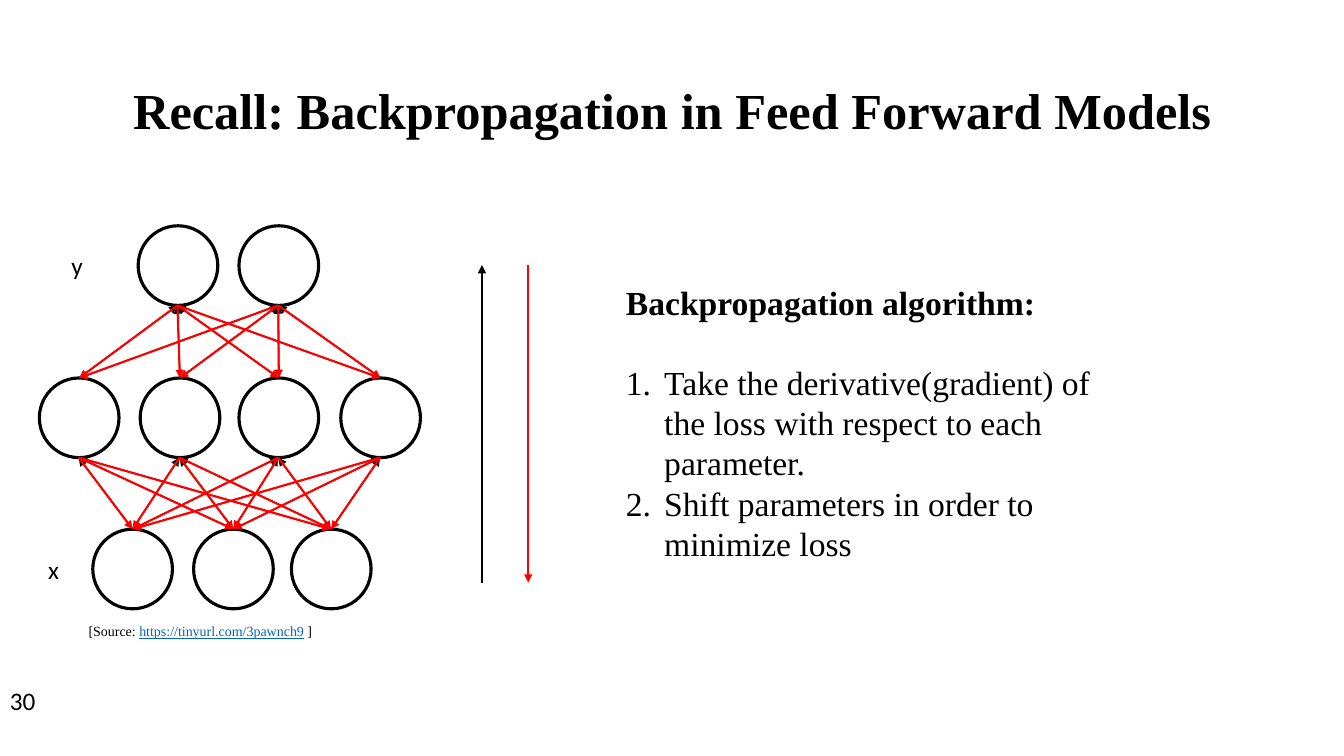
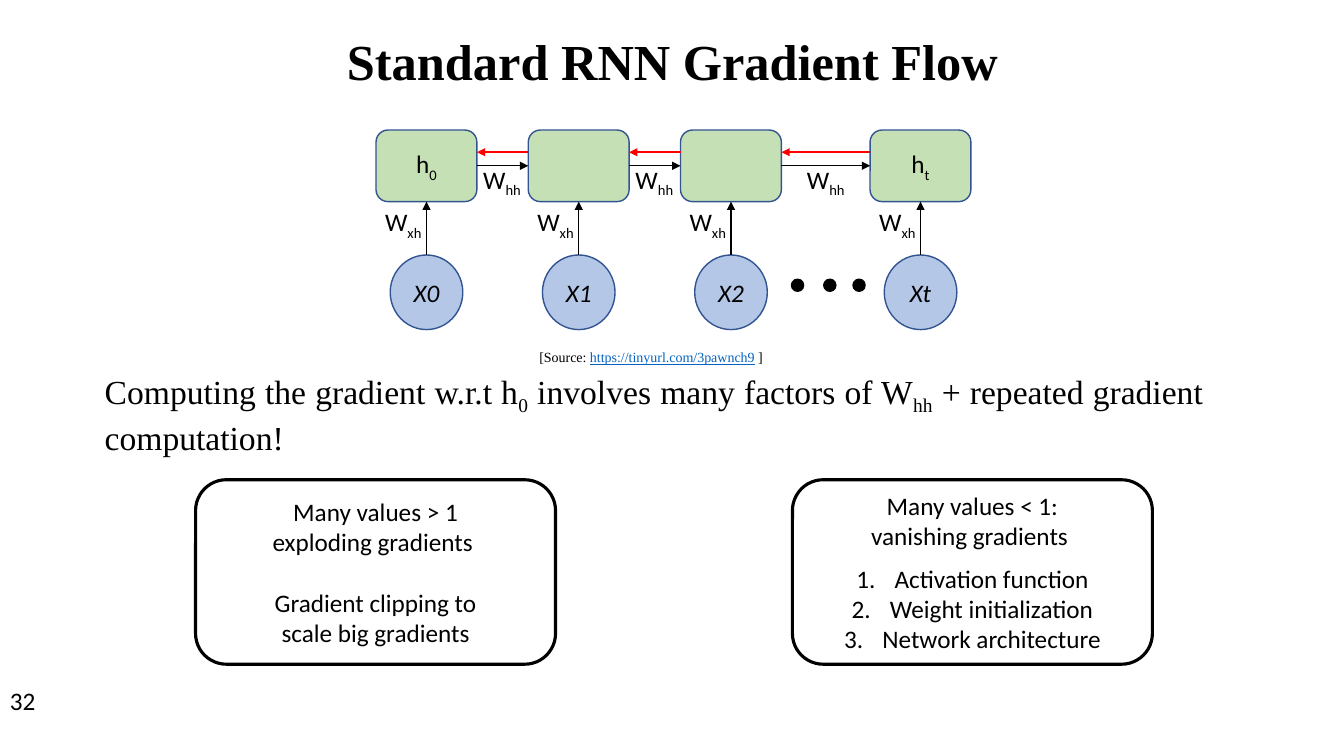
from dataclasses import dataclass
from itertools import product

from lxml.etree import SubElement
from pptx import Presentation
from pptx.dml.color import RGBColor
from pptx.enum.shapes import MSO_CONNECTOR, MSO_SHAPE
from pptx.enum.text import MSO_ANCHOR, PP_ALIGN
from pptx.oxml.ns import qn
from pptx.util import Pt

PX = 9144  # 100 px to the inch

BLACK = RGBColor(0x00, 0x00, 0x00)
WHITE = RGBColor(0xFF, 0xFF, 0xFF)
RED = RGBColor(0xFF, 0x00, 0x00)
GREEN = RGBColor(0xC5, 0xE0, 0xB4)
BLUE = RGBColor(0xB4, 0xC7, 0xE7)
NAVY = RGBColor(0x32, 0x54, 0x91)
LINK = RGBColor(0x05, 0x63, 0xC1)

SERIF = "Times New Roman"
SANS = "Calibri"

TOP, LEFT, BOTTOM, RIGHT = range(4)
NUMBER_INDENT = 38

NODE_SIZE = 79
CELL_WIDTH, CELL_HEIGHT, CELL_TOP = 100, 71, 129
INPUT_WIDTH, INPUT_HEIGHT, INPUT_TOP = 72, 74, 253


@dataclass
class Run:
    text: str
    subscript: bool = False
    link: bool = False


@dataclass
class Line:
    """One paragraph: its runs, and what sets it apart from its neighbours."""
    runs: list
    bold: bool = False
    numbered: bool = False
    space_before: float = 0


def plain(text, **options):
    return Line([Run(text)], **options)


def with_subscript(base, subscript):
    return Line([Run(base), Run(subscript, subscript=True)])


def add_number(paragraph):
    properties = paragraph._p.get_or_add_pPr()
    properties.set("marL", str(NUMBER_INDENT * PX))
    properties.set("indent", str(-NUMBER_INDENT * PX))
    SubElement(properties, qn("a:buAutoNum"), type="arabicPeriod")


def write_text(shape, lines, *, size=18, font=SANS, italic=False,
               align=PP_ALIGN.LEFT, anchor=MSO_ANCHOR.TOP, wrap=True, spacing=None):
    frame = shape.text_frame
    frame.word_wrap = wrap
    frame.vertical_anchor = anchor
    for index, line in enumerate(lines):
        paragraph = frame.add_paragraph() if index else frame.paragraphs[0]
        paragraph.alignment = align
        if spacing:
            paragraph.line_spacing = spacing
        if line.space_before:
            paragraph.space_before = Pt(line.space_before)
        if line.numbered:
            add_number(paragraph)
        for part in line.runs:
            run = paragraph.add_run()
            run.text = part.text
            run.font.size = Pt(size)
            run.font.name = font
            run.font.bold = line.bold
            run.font.italic = italic
            run.font.color.rgb = LINK if part.link else BLACK
            if part.link:
                run.font.underline = True
            if part.subscript:
                run._r.get_or_add_rPr().set("baseline", "-25000")


def add_text(slide, box, lines, **text_format):
    text_box = slide.shapes.add_textbox(*(value * PX for value in box))
    write_text(text_box, lines, **text_format)


def add_shape(slide, kind, box, *, fill=WHITE, line=BLACK, weight=1, lines=(), **text_format):
    shape = slide.shapes.add_shape(kind, *(value * PX for value in box))
    shape.shadow.inherit = False
    shape.fill.solid()
    shape.fill.fore_color.rgb = fill
    shape.line.color.rgb = line
    shape.line.width = Pt(weight)
    write_text(shape, lines, align=PP_ALIGN.CENTER, anchor=MSO_ANCHOR.MIDDLE, **text_format)
    return shape


def add_arrow(slide, start, end, color=BLACK, weight=1):
    """Each end is either an (x, y) point in px or a (shape, side) to join."""
    points = [(0, 0) if hasattr(place[0], "shape_id") else place for place in (start, end)]
    coordinates = [value * PX for point in points for value in point]
    arrow = slide.shapes.add_connector(MSO_CONNECTOR.STRAIGHT, *coordinates)
    if hasattr(start[0], "shape_id"):
        arrow.begin_connect(*start)
    if hasattr(end[0], "shape_id"):
        arrow.end_connect(*end)
    arrow.line.color.rgb = color
    arrow.line.width = Pt(weight)
    SubElement(arrow.line._get_or_add_ln(), qn("a:tailEnd"), type="triangle")
    SubElement(arrow._element.spPr, qn("a:effectLst"))


def start_slide(presentation, title, title_box, number):
    slide = presentation.slides.add_slide(presentation.slide_layouts[6])
    add_text(slide, title_box, [plain(title, bold=True)], size=36, font=SERIF,
             align=PP_ALIGN.CENTER, anchor=MSO_ANCHOR.MIDDLE, spacing=0.9)
    add_text(slide, (0, 675, 300, 40), [plain(number)])
    return slide


def add_source(slide, left, top):
    runs = [Run("[Source: "), Run("https://tinyurl.com/3pawnch9", link=True), Run(" ]")]
    add_text(slide, (left, top, 558, 27), [Line(runs)], size=10, font=SERIF)


def add_layer(slide, lefts, top):
    return [add_shape(slide, MSO_SHAPE.OVAL, (left, top, NODE_SIZE, NODE_SIZE), weight=2.25)
            for left in lefts]


def bottom_point(node):
    return (node.left + node.width // 2) // PX, (node.top + node.height) // PX


def add_network(slide):
    outputs = add_layer(slide, (137, 237), 224)
    hidden = add_layer(slide, (39, 139, 237, 338), 375)
    inputs = add_layer(slide, (92, 192, 289), 525)
    layer_pairs = ((inputs, hidden), (hidden, outputs))
    for lower_layer, upper_layer in layer_pairs:
        for lower, upper in product(lower_layer, upper_layer):
            add_arrow(slide, (lower, TOP), bottom_point(upper))
    for lower_layer, upper_layer in layer_pairs:
        for lower, upper in product(lower_layer, upper_layer):
            add_arrow(slide, bottom_point(upper), (lower, TOP), RED, 1.5)


def add_backpropagation_slide(presentation):
    slide = start_slide(presentation, "Recall: Backpropagation in Feed Forward Models",
                        (92, 40, 1150, 145), "30")
    add_network(slide)
    add_arrow(slide, (478, 578), (478, 263), BLACK, 1.5)
    add_arrow(slide, (524, 263), (524, 578), RED, 1.5)
    add_text(slide, (61, 243, 44, 40), [plain("y")])
    add_text(slide, (38, 545, 44, 40), [plain("x")])
    add_text(slide, (611, 275, 494, 374), [
        plain("Backpropagation algorithm:", bold=True),
        plain("Take the derivative(gradient) of the loss with respect to each parameter.",
              numbered=True, space_before=28),
        plain("Shift parameters in order to minimize loss", numbered=True),
    ], size=24, font=SERIF)
    add_source(slide, 78, 613)


def add_time_step(slide, left, state, name):
    """Hidden state above its input, joined by an arrow; returns the state."""
    cell = add_shape(slide, MSO_SHAPE.ROUNDED_RECTANGLE,
                     (left, CELL_TOP, CELL_WIDTH, CELL_HEIGHT),
                     fill=GREEN, line=NAVY, lines=state)
    input_left = left + (CELL_WIDTH - INPUT_WIDTH) // 2
    input_node = add_shape(slide, MSO_SHAPE.OVAL,
                           (input_left, INPUT_TOP, INPUT_WIDTH, INPUT_HEIGHT),
                           fill=BLUE, line=NAVY, lines=[plain(name)], italic=True)
    add_arrow(slide, (input_node, TOP), (cell, BOTTOM))
    add_weight(slide, left + 27, 200, "xh")
    return cell


def add_weight(slide, center, top, subscript):
    add_text(slide, (center - 30, top, 60, 40), [with_subscript("W", subscript)],
             align=PP_ALIGN.CENTER, wrap=False)


def add_recurrent_network(slide):
    steps = (
        (373, [with_subscript("h", "0")], "X0"),
        (524, [], "X1"),
        (675, [], "X2"),
        (863, [with_subscript("h", "t")], "Xt"),
    )
    lefts = [step[0] for step in steps]
    cells = [add_time_step(slide, *step) for step in steps]
    for cell, next_cell in zip(cells, cells[1:]):
        add_arrow(slide, (cell, RIGHT), (next_cell, LEFT))
    for left, next_left in zip(lefts, lefts[1:]):
        right = left + CELL_WIDTH
        add_arrow(slide, (next_left, 151), (right, 151), RED)
        add_weight(slide, (right + next_left) // 2, 158, "hh")
    for left in (785, 817, 846):
        add_shape(slide, MSO_SHAPE.FLOWCHART_CONNECTOR, (left, 277, 12, 12), fill=BLACK)


def add_gradient_flow_slide(presentation):
    slide = start_slide(presentation, "Standard RNN Gradient Flow", (92, 9, 1150, 110), "32")
    add_recurrent_network(slide)
    add_source(slide, 525, 341)
    add_text(slide, (94, 363, 1109, 91), [Line([
        Run("Computing the gradient w.r.t h"), Run("0", subscript=True),
        Run(" involves many factors of W"), Run("hh", subscript=True),
        Run(" + repeated gradient computation!"),
    ])], size=24, font=SERIF, align=PP_ALIGN.JUSTIFY)
    exploding = [
        plain("Many values > 1"),
        plain("exploding gradients "),
        plain("Gradient clipping to", space_before=22),
        plain("scale big gradients"),
    ]
    vanishing = [
        plain("Many values < 1:"),
        plain("vanishing gradients "),
        plain("Activation function", numbered=True, space_before=8.5),
        plain("Weight initialization", numbered=True),
        plain("Network architecture", numbered=True),
    ]
    for left, lines in ((194, exploding), (786, vanishing)):
        add_shape(slide, MSO_SHAPE.ROUNDED_RECTANGLE, (left, 476, 357, 183),
                  weight=2.25, lines=lines)


def main():
    presentation = Presentation()
    presentation.slide_width = 1333 * PX
    presentation.slide_height = 750 * PX
    add_backpropagation_slide(presentation)
    add_gradient_flow_slide(presentation)
    presentation.save("out.pptx")


if __name__ == "__main__":
    main()
